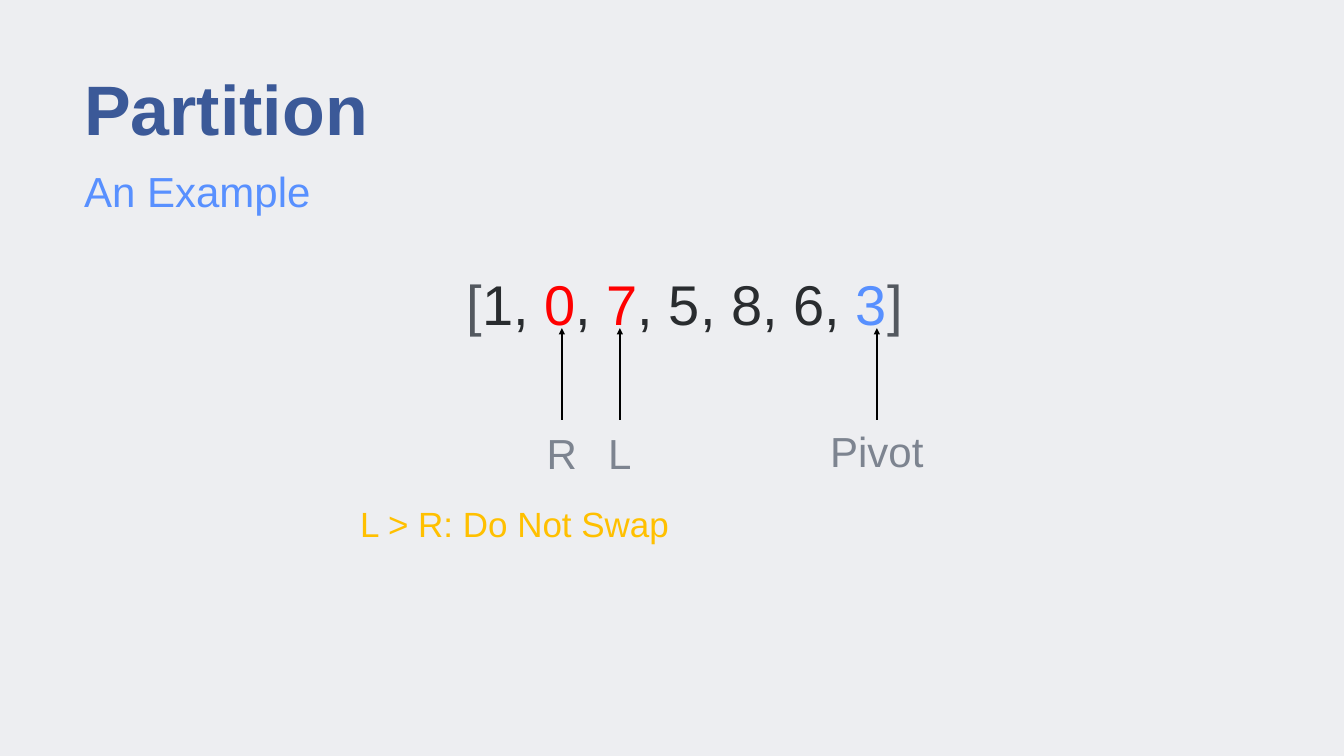
from dataclasses import dataclass

from lxml.etree import SubElement
from pptx import Presentation
from pptx.dml.color import RGBColor
from pptx.enum.shapes import MSO_CONNECTOR
from pptx.enum.text import MSO_ANCHOR, MSO_AUTO_SIZE, PP_ALIGN
from pptx.oxml.ns import qn
from pptx.util import Inches, Pt


@dataclass(frozen=True)
class Theme:
    """Colours, type sizes and font of the slide."""
    font: str = "Arial"
    background: str = "EDEEF1"
    title: str = "3B5998"
    accent: str = "5890FF"
    bracket: str = "53585F"
    digit: str = "292C2F"
    marked: str = "FF0000"
    label: str = "7D8490"
    note: str = "FFC000"
    arrow: str = "000000"
    title_size: int = 100
    array_size: int = 80
    label_size: int = 60
    note_size: int = 50


T = Theme()

TITLE = [("Partition", T.title)]
SUBTITLE = [("An Example", T.accent)]
ARRAY = [("[", T.bracket), ("1, ", T.digit), ("0", T.marked), (", ", T.digit),
         ("7", T.marked), (", 5, 8, 6, ", T.digit), ("3", T.accent),
         ("]", T.bracket)]
NOTE = [("L > R: Do Not Swap", T.note)]

# label, arrow x, label box width, label box top
POINTERS = [("Pivot", 17.4, 5.33, 8.33),
            ("L", 12.3, 2.33, 8.38),
            ("R", 11.15, 1.08, 8.38)]
ARROW_TOP, ARROW_BOTTOM = 6.51, 8.33
LABEL_HEIGHT = 1.11


def rgb(value):
    """Turn a hex string into a colour."""
    return RGBColor.from_string(value)


def write(sp, box, runs, size, bold=False, anchor=MSO_ANCHOR.MIDDLE,
          align=PP_ALIGN.CENTER, spacing=1.1, before=0):
    """Place a text shape and fill it with coloured runs."""
    sp.left, sp.top, sp.width, sp.height = map(Inches, box)
    tf = sp.text_frame
    frame = dict(word_wrap=True, auto_size=MSO_AUTO_SIZE.NONE,
                 vertical_anchor=anchor, margin_left=0, margin_right=0,
                 margin_top=0, margin_bottom=0)
    for name, value in frame.items():
        setattr(tf, name, value)
    p = tf.paragraphs[0]
    paragraph = dict(alignment=align, line_spacing=spacing,
                     space_before=Pt(before), space_after=Pt(0))
    for name, value in paragraph.items():
        setattr(p, name, value)
    if sp.is_placeholder:
        pPr = p._p.get_or_add_pPr()
        pPr.set("marL", "0")
        pPr.set("indent", "0")
        SubElement(pPr, qn("a:buNone"))
    for text, color in runs:
        r = p.add_run()
        r.text = text
        for name, value in dict(name=T.font, size=Pt(size), bold=bold).items():
            setattr(r.font, name, value)
        r.font.color.rgb = rgb(color)


def add_label(s, box, runs, size):
    """Add a centred text box."""
    write(s.shapes.add_textbox(0, 0, 0, 0), box, runs, size)


def add_arrow(s, x):
    """Add an upward arrow at x."""
    sp = s.shapes.add_connector(MSO_CONNECTOR.STRAIGHT, Inches(x),
                                Inches(ARROW_BOTTOM), Inches(x),
                                Inches(ARROW_TOP))
    sp.line.color.rgb = rgb(T.arrow)
    sp.line.width = Pt(3)
    SubElement(sp.line._get_or_add_ln(), qn("a:tailEnd"), type="triangle")
    SubElement(sp._element.spPr, qn("a:effectLst"))


def main():
    """Build the slide and save it."""
    prs = Presentation()
    prs.slide_width, prs.slide_height = Inches(26.67), Inches(15)
    s = prs.slides.add_slide(prs.slide_layouts.get_by_name("Two Content"))
    s.background.fill.solid()
    s.background.fill.fore_color.rgb = rgb(T.background)

    title, subtitle, array = list(s.placeholders)[:3]
    heading = dict(anchor=MSO_ANCHOR.TOP, align=PP_ALIGN.LEFT)
    write(title, (1.67, 1.14, 23.33, 2.01), TITLE, T.title_size, bold=True,
          **heading)
    write(subtitle, (1.67, 3.19, 23.33, 1.22), SUBTITLE, T.label_size,
          **heading)
    write(array, (1.67, 4.69, 23.83, 3.64), ARRAY, T.array_size,
          anchor=MSO_ANCHOR.TOP, spacing=1.5, before=10)

    for text, x, width, top in POINTERS:
        add_arrow(s, x)
        add_label(s, (x - width / 2, top, width, LABEL_HEIGHT),
                  [(text, T.label)], T.label_size)
    add_label(s, (6.34, 9.88, 7.75, 0.93), NOTE, T.note_size)

    prs.save("out.pptx")


main()
